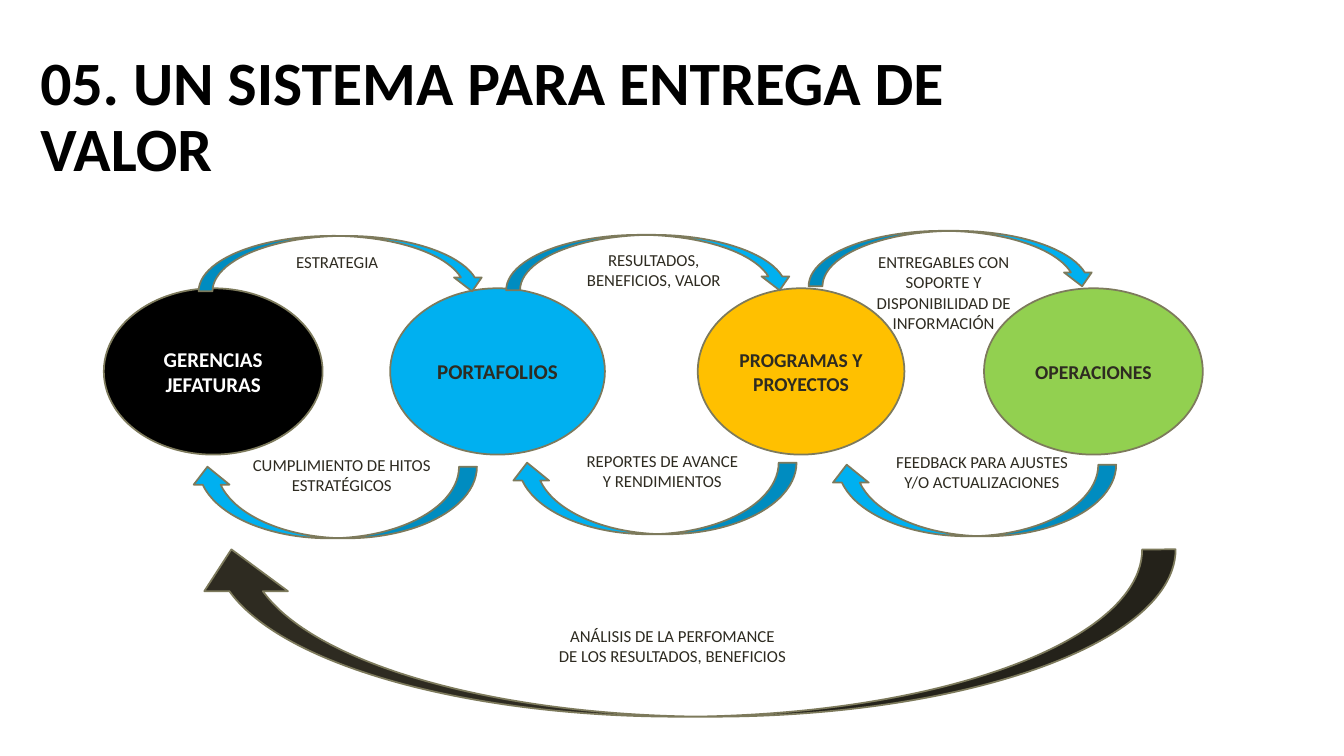
from dataclasses import dataclass
from pptx import Presentation
from pptx.dml.color import RGBColor as RGB
from pptx.enum.shapes import MSO_SHAPE as Shape
from pptx.enum.text import MSO_ANCHOR as Anchor, MSO_AUTO_SIZE as Auto, PP_ALIGN as Align
from pptx.util import Pt

# Content: boxes are left, top, width, height in px (100 per inch)
TITLE = "05. UN SISTEMA PARA ENTREGA DE VALOR"
TITLE_BOX = (30, 45, 965, 145)

# text, left, width, fill, text colour, size
STAGES = [
    ("GERENCIAS\nJEFATURAS", 103, 217, "000000", "FFFFFF", 15),
    ("PORTAFOLIOS", 387, 213, "00B0F0", "2E2B21", 15),
    ("PROGRAMAS Y PROYECTOS", 692, 205, "FFC000", "2E2B21", 14),
    ("OPERACIONES", 976, 217, "92D050", "2E2B21", 14),
]
STAGE_TOP, STAGE_H = 286, 165

# left, top
AHEAD = [(197, 234), (502, 233), (802, 229)]
BACK = [(188, 463), (505, 459), (822, 461)]
ARROW_W, AHEAD_H, BACK_H = 285, 55, 71
REVIEW_BOX = (188, 545, 978, 166)

LABELS = [
    ("ESTRATEGIA", (256, 245, 157, 30)),
    ("RESULTADOS, BENEFICIOS, VALOR", (570, 243, 157, 50)),
    ("ENTREGABLES CON SOPORTE Y DISPONIBILIDAD DE INFORMACIÓN", (844, 245, 184, 91)),
    ("CUMPLIMIENTO DE HITOS ESTRATÉGICOS", (240, 446, 198, 50)),
    ("REPORTES DE AVANCE\nY RENDIMIENTOS", (558, 442, 198, 50)),
    ("FEEDBACK PARA AJUSTES Y/O ACTUALIZACIONES", (875, 443, 198, 50)),
    ("ANÁLISIS DE LA PERFOMANCE\nDE LOS RESULTADOS, BENEFICIOS", (456, 616, 422, 50)),
]


@dataclass(frozen=True)
class Theme:
    font: str = "Calibri"
    ink: str = "2E2B21"
    title: str = "000000"
    line: str = "7D7A5C"
    flow: str = "00B0F0"
    title_pt: int = 44
    label_pt: int = 12
    line_pt: float = 1.25


THEME = Theme()
PX = 9144


def emu(box):
    return [v * PX for v in box]


def style(frame, size, color, bold=False, align=Align.CENTER):
    for para in frame.paragraphs:
        para.alignment = align
        font = para.font
        font.name, font.size, font.bold = THEME.font, Pt(size), bold
        font.color.rgb = RGB.from_string(color)


def draw(slide, kind, box, fill):
    shape = slide.shapes.add_shape(kind, *emu(box))
    shape.shadow.inherit = False
    shape.fill.solid()
    shape.fill.fore_color.rgb = RGB.from_string(fill)
    shape.line.color.rgb = RGB.from_string(THEME.line)
    shape.line.width = Pt(THEME.line_pt)
    return shape


def arrow(slide, box, fill=THEME.flow, turn=0):
    shape = draw(slide, Shape.CURVED_DOWN_ARROW, box, fill)
    shape.rotation = turn
    return shape


def main():
    deck = Presentation()
    deck.slide_width, deck.slide_height = emu((1333, 750))
    slide = deck.slides.add_slide(deck.slide_layouts[5])

    # Title
    title = slide.shapes.title
    title.left, title.top, title.width, title.height = emu(TITLE_BOX)
    frame = title.text_frame
    frame.text = TITLE
    frame.word_wrap = True
    frame.auto_size = Auto.NONE
    frame.vertical_anchor = Anchor.MIDDLE
    style(frame, THEME.title_pt, THEME.title, True, Align.LEFT)
    frame.paragraphs[0].line_spacing = 0.9

    # Stages
    for text, left, width, fill, color, size in STAGES:
        oval = draw(slide, Shape.OVAL, (left, STAGE_TOP, width, STAGE_H), fill)
        frame = oval.text_frame
        frame.text = text
        frame.word_wrap = True
        frame.vertical_anchor = Anchor.MIDDLE
        style(frame, size, color, True)

    # Arrows ahead, back and the long review loop
    for spot in AHEAD:
        arrow(slide, (*spot, ARROW_W, AHEAD_H))
    for spot in BACK:
        arrow(slide, (*spot, ARROW_W, BACK_H), turn=180)
    review = arrow(slide, REVIEW_BOX, THEME.ink, 180)
    review.adjustments[0] = 0.2

    # Labels
    for text, box in LABELS:
        frame = slide.shapes.add_textbox(*emu(box)).text_frame
        frame.text = text
        frame.word_wrap = True
        frame.auto_size = Auto.SHAPE_TO_FIT_TEXT
        style(frame, THEME.label_pt, THEME.ink)

    deck.save("out.pptx")


if __name__ == "__main__":
    main()
